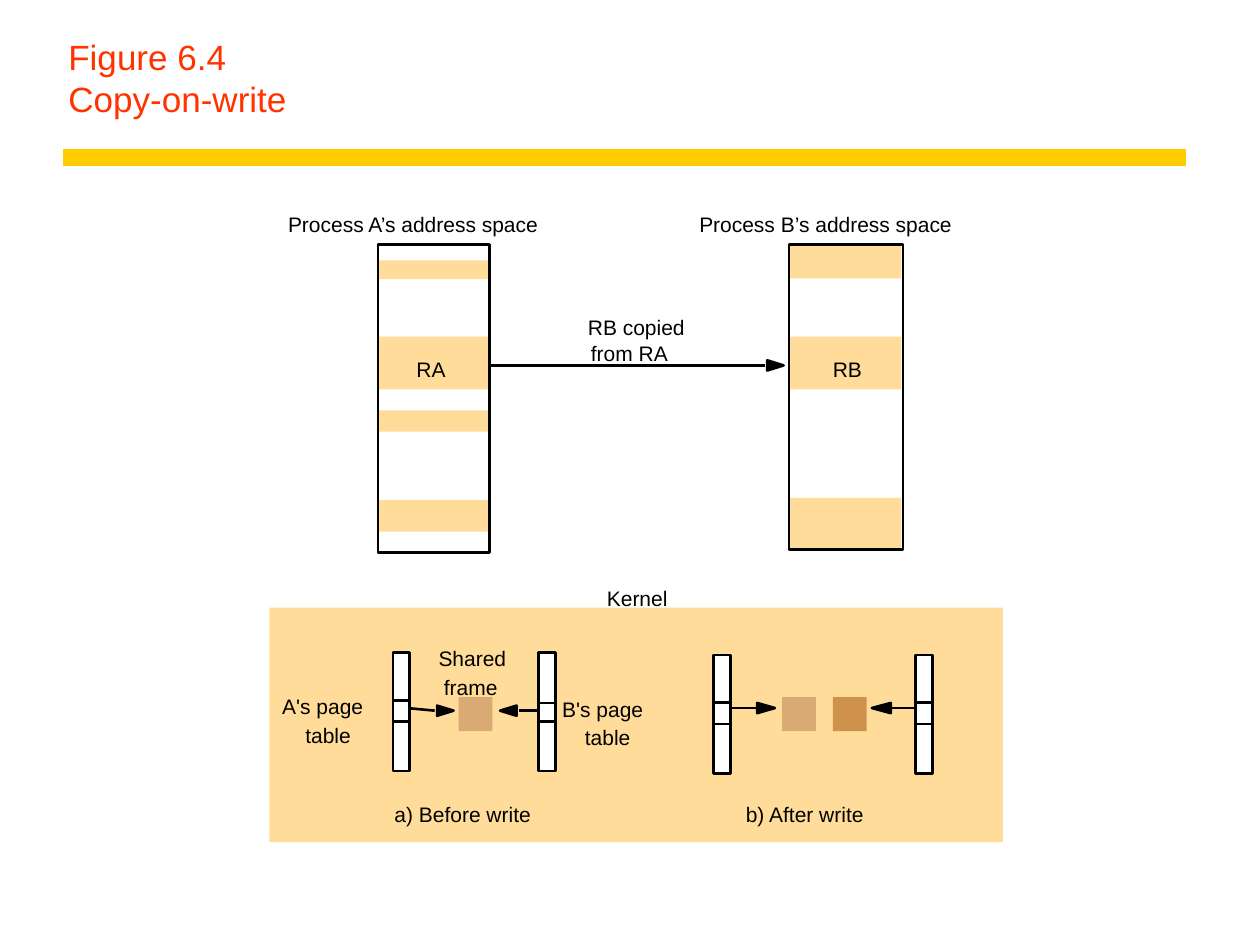
from lxml.etree import SubElement
from pptx import Presentation
from pptx.dml.color import RGBColor
from pptx.enum.shapes import MSO_CONNECTOR, MSO_SHAPE
from pptx.enum.text import MSO_ANCHOR
from pptx.oxml.ns import qn
from pptx.util import Pt

COLORS = {
    "title": "FF3300", "rule": "FFCC00", "ink": "000000", "paper": "FFFFFF",
    "region": "FFDC99", "frame": "D9AA73", "copy": "CF924C",
}
TITLE = "Figure 6.4\vCopy-on-write"
LABELS = [
    ("Process A’s address space", 164.6, 121, 145),
    ("Process B’s address space", 399.6, 121, 145),
    ("RA", 238, 203.8, 18),
    ("RB", 475.9, 203.8, 18),
    ("RB copied", 336, 179.6, 57),
    ("from RA", 337.7, 194.4, 46),
    ("Kernel", 346.8, 334.8, 36),
    ("Shared", 250.6, 369, 40),
    ("frame", 253.7, 385.6, 32),
    ("A's page", 161.3, 396.4, 48),
    ("table", 174.5, 412.8, 27),
    ("B's page", 321.3, 397.8, 48),
    ("table", 334.3, 414, 27),
    ("a) Before write", 225.4, 457.9, 80),
    ("b) After write", 426.2, 457.9, 70),
]
SPACES = [
    (216, 63.7, 176, [(148.8, 10.8), (192.4, 30.2), (234.5, 12.2), (285.8, 18)]),
    (450.9, 65.2, 174.5, [(139.7, 19.4), (192.4, 30.2), (284.6, 29.2)]),
]
SPACE_TOP = 139.7
BAND = 64.1
KERNEL = (153.9, 347.3, 419.2, 133.9)
FRAMES = [(262.1, "frame"), (446.9, "frame"), (475.9, "copy")]
FRAME_TOP, FRAME = 398.4, 19.4
TABLES = [
    (224.6, 373, 400.2, 12.2),
    (307.8, 373, 401.6, 10.8),
    (407.8, 374.4, 401.6, 12.2),
    (523.2, 374.4, 401.6, 12.2),
]
TABLE_W, TABLE_H = 9.6, 67.7
ARROWS = [
    ((280.1, 208.8), (437, 208.8), 438.5, 447.8),
    ((232.6, 404.6), (248.4, 406.1), 249.8, 259.2),
    ((308.2, 406.1), (296.6, 406.1), 295.2, 285.8),
    ((416.2, 404.6), (432.7, 404.6), 432.7, 442.8),
    ((523.4, 404.6), (509, 404.6), 509, 498.2),
]
HEAD = 2.9
SLACK = 4

deck = Presentation()
deck.slide_width, deck.slide_height = Pt(720), Pt(540)
slide = deck.slides.add_slide(deck.slide_layouts[6])
shapes = slide.shapes


def tint(name):
    return RGBColor.from_string(COLORS[name])


def style(shape, fill=None, line=None):
    shape.shadow.inherit = False
    if fill:
        shape.fill.solid()
        shape.fill.fore_color.rgb = tint(fill)
    else:
        shape.fill.background()
    if line:
        shape.line.color.rgb = tint(line)
        shape.line.width = Pt(1.5)
    else:
        shape.line.fill.background()


def block(x, y, w, h, fill=None, line=None):
    style(shapes.add_shape(MSO_SHAPE.RECTANGLE, Pt(x), Pt(y), Pt(w), Pt(h)), fill, line)


def stroke(start, end, color, width):
    line = shapes.add_connector(
        MSO_CONNECTOR.STRAIGHT, *(Pt(v) for v in (*start, *end)))
    line.line.color.rgb = tint(color)
    line.line.width = Pt(width)
    SubElement(line._element.spPr, qn("a:effectLst"))


def write(text, x, y, w, h, size, color):
    frame = shapes.add_textbox(Pt(x), Pt(y), Pt(w), Pt(h)).text_frame
    frame.text = text
    frame.word_wrap = True
    for run in frame.paragraphs[0].runs:
        run.font.name = "Arial"
        run.font.size = Pt(size)
        run.font.color.rgb = tint(color)
    return frame


def label(text, x, y, w):
    frame = write(text, x, y, w + SLACK, 14.4, 12, "ink")
    frame.margin_left = frame.margin_right = 0
    frame.margin_top = frame.margin_bottom = 0


def arrow(start, end, base, tip):
    stroke(start, end, "ink", 1.5)
    y = end[1]
    head = shapes.build_freeform(Pt(base), Pt(y - HEAD))
    head.add_line_segments([(Pt(tip), Pt(y)), (Pt(base), Pt(y + HEAD))], close=True)
    style(head.convert_to_shape(), "ink", "ink")


stroke((36, 90), (678, 90), "rule", 10)
title = write(TITLE, 32, 18, 645.8, 54, 20, "title")
title.vertical_anchor = MSO_ANCHOR.BOTTOM

block(*KERNEL, fill="region")
for x, w, h, bands in SPACES:
    for y, tall in bands:
        block(x, y, BAND, tall, fill="region")
    block(x, SPACE_TOP, w, h, line="ink")
for x, color in FRAMES:
    block(x, FRAME_TOP, FRAME, FRAME, fill=color)
for args in ARROWS:
    arrow(*args)
for x, top, cell, tall in TABLES:
    block(x, top, TABLE_W, TABLE_H, "paper", "ink")
    block(x, cell, TABLE_W, tall, "paper", "ink")
for args in LABELS:
    label(*args)

deck.save("out.pptx")
